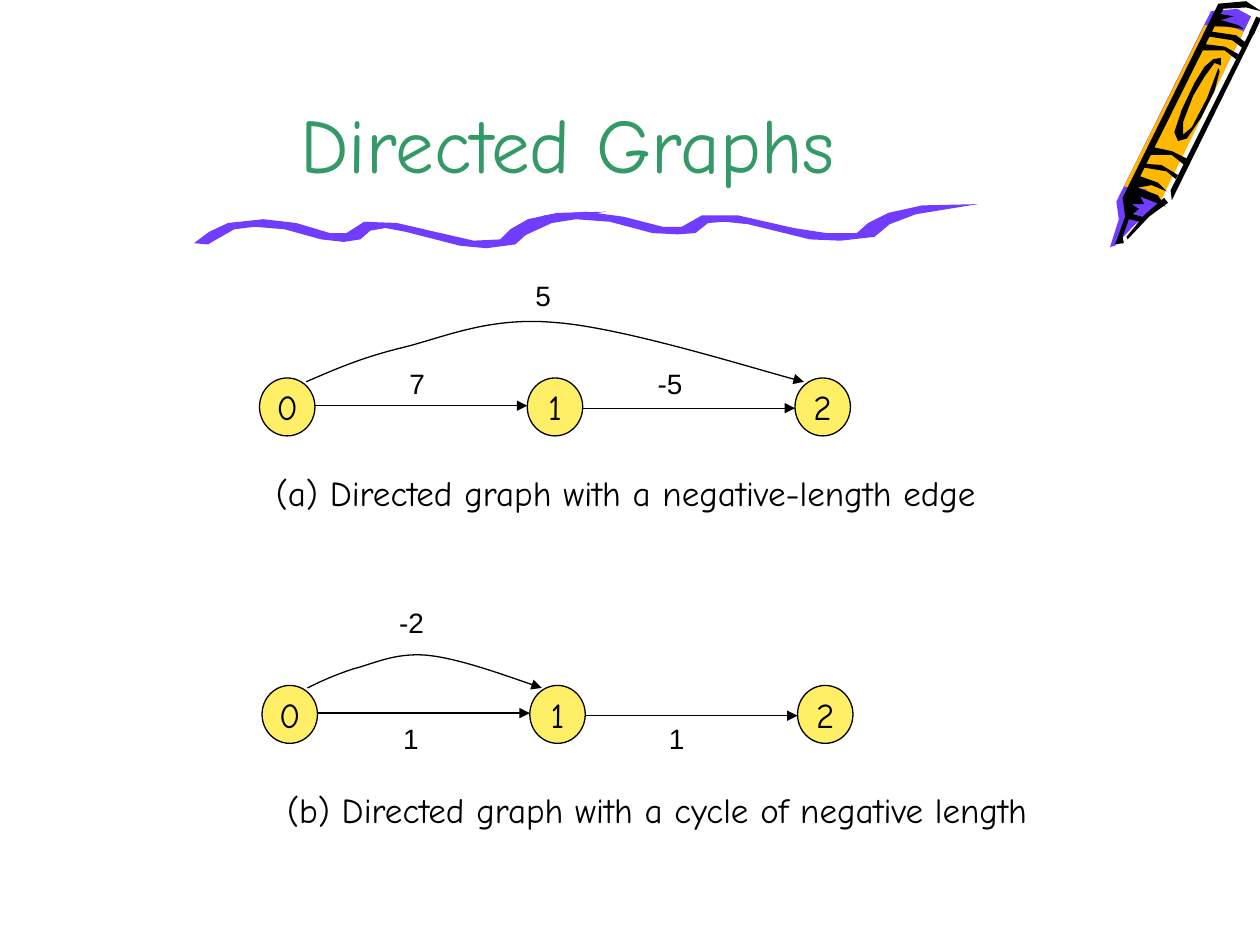
from dataclasses import dataclass

from lxml import etree
from pptx import Presentation
from pptx.dml.color import RGBColor
from pptx.enum.shapes import MSO_CONNECTOR, MSO_SHAPE
from pptx.enum.text import MSO_ANCHOR, PP_ALIGN
from pptx.oxml.ns import qn
from pptx.util import Emu, Inches, Pt

STRAIGHT, OVAL = MSO_CONNECTOR.STRAIGHT, MSO_SHAPE.OVAL
TOP, MIDDLE, BOTTOM = MSO_ANCHOR.TOP, MSO_ANCHOR.MIDDLE, MSO_ANCHOR.BOTTOM
LEFT, CENTER = PP_ALIGN.LEFT, PP_ALIGN.CENTER

SLIDE_W, SLIDE_H = Inches(10), Inches(7.5)
COLUMNS, ROWS = 10, 7.5
NODE_W, NODE_H, NODE_PITCH = 0.44, 0.46, 2.125
LABEL_W, LABEL_H = 0.42, 0.37

Point = tuple[float, float]


@dataclass(frozen=True)
class TextStyle:
    font: str
    size: float
    color: str


@dataclass(frozen=True)
class Theme:
    ink: str = "000000"
    violet: str = "703DFF"
    orange: str = "FFB800"
    node: str = "FFEF66"
    hairline: float = 0.75
    crayon_line: float = 3
    title: TextStyle = TextStyle("Comic Neue", 44, "339966")
    body: TextStyle = TextStyle("Comic Neue", 20, "000000")
    weight: TextStyle = TextStyle("Arial", 16, "000000")


THEME = Theme()


@dataclass(frozen=True)
class Outline:
    color: str
    points: list[Point]


@dataclass(frozen=True)
class Weight:
    text: str
    left: float
    top: float


@dataclass(frozen=True)
class Graph:
    left: float
    top: float
    arc: list[Point]
    weights: list[Weight]
    caption: str
    caption_box: tuple[float, float, float, float]


CRAYON = [
    Outline(THEME.violet, [
        (9.93, 0.13), (9.17, 1.66), (9.01, 1.78), (8.85, 1.95), (8.81, 1.96),
        (8.88, 1.74), (8.86, 1.6), (9.61, 0.09), (9.82, 0.07)]),
    Outline(THEME.orange, [
        (9.21, 1.6), (9.09, 1.5), (8.92, 1.48), (9.56, 0.2), (9.79, 0.22), (9.87, 0.25)]),
    Outline(THEME.ink, [
        (9.27, 1.61), (9.12, 1.72), (8.95, 1.9), (8.94, 1.88), (9.09, 1.7), (9.24, 1.57)]),
    Outline(THEME.ink, [
        (9.87, 0.23), (9.73, 0.21), (9.61, 0.21), (9.68, 0.11), (9.79, 0.13),
        (9.69, 0.16), (9.83, 0.2)]),
    Outline(THEME.ink, [
        (9.68, 0.57), (9.64, 0.72), (9.53, 0.94), (9.42, 1.1), (9.35, 1.12), (9.32, 1.05),
        (9.38, 0.87), (9.48, 0.66), (9.56, 0.53), (9.63, 0.47), (9.69, 0.46), (9.69, 0.52),
        (9.64, 0.5), (9.56, 0.61), (9.47, 0.76), (9.39, 0.97), (9.39, 1.07), (9.46, 1.01),
        (9.58, 0.78), (9.67, 0.54)]),
    Outline(THEME.ink, [(9.97, 0.23), (9.3, 1.59), (9.29, 1.51), (9.93, 0.23)]),
    Outline(THEME.ink, [
        (9.25, 1.64), (9.19, 1.55), (9.03, 1.49), (9.14, 1.47), (9.26, 1.52), (9.19, 1.45),
        (9.05, 1.4), (9.71, 0.07), (9.89, 0.06), (10.01, 0.09), (9.89, 0.01), (9.67, 0.03),
        (8.91, 1.57), (8.93, 1.72), (8.85, 1.94), (8.92, 1.93), (8.91, 1.88), (8.96, 1.74),
        (9.05, 1.76), (9.1, 1.73), (8.99, 1.7), (9.04, 1.66), (8.98, 1.62), (9.08, 1.62),
        (9.05, 1.56)]),
    Outline(THEME.ink, [
        (9.33, 1.42), (9.26, 1.36), (9.08, 1.33), (9.09, 1.3), (9.22, 1.31), (9.35, 1.39)]),
    Outline(THEME.ink, [
        (9.4, 1.31), (9.3, 1.23), (9.13, 1.23), (9.16, 1.17), (9.3, 1.2), (9.42, 1.26)]),
    Outline(THEME.ink, [
        (9.81, 0.47), (9.72, 0.4), (9.53, 0.4), (9.56, 0.35), (9.72, 0.37), (9.83, 0.43)]),
    Outline(THEME.ink, [
        (9.86, 0.38), (9.78, 0.32), (9.59, 0.29), (9.61, 0.25), (9.81, 0.28), (9.89, 0.34)]),
]

SQUIGGLE = [
    Outline(THEME.violet, [
        (1.65, 1.94), (1.86, 1.82), (2.02, 1.8), (2.26, 1.82), (2.55, 1.9), (2.73, 1.92),
        (2.86, 1.9), (2.94, 1.83), (3.06, 1.81), (3.22, 1.84), (3.65, 1.95), (3.86, 1.97),
        (4.09, 1.94), (4.2, 1.84), (4.38, 1.75), (4.81, 1.68), (4.42, 1.69), (4.19, 1.74),
        (4.05, 1.82), (3.97, 1.9), (3.76, 1.91), (3.54, 1.86), (3.15, 1.77), (2.89, 1.76),
        (2.75, 1.85), (2.62, 1.85), (2.35, 1.77), (2.09, 1.74), (1.81, 1.77), (1.66, 1.84),
        (1.54, 1.93)]),
    Outline(THEME.violet, [
        (4.14, 1.88), (4.38, 1.77), (4.57, 1.74), (4.84, 1.76), (5.18, 1.85), (5.38, 1.86),
        (5.52, 1.85), (5.62, 1.77), (5.75, 1.76), (5.94, 1.78), (6.43, 1.9), (6.67, 1.91),
        (6.94, 1.88), (7.06, 1.78), (7.27, 1.7), (7.76, 1.62), (7.32, 1.63), (7.05, 1.69),
        (6.89, 1.77), (6.8, 1.85), (6.56, 1.85), (6.3, 1.81), (5.86, 1.71), (5.57, 1.71),
        (5.41, 1.8), (5.26, 1.8), (4.95, 1.72), (4.65, 1.68), (4.32, 1.71), (4.15, 1.78),
        (4.01, 1.88)]),
]

GRAPHS = [
    Graph(2.06, 3.0,
          [(2.43, 3.03), (2.64, 2.94), (2.86, 2.84), (3.19, 2.76), (3.52, 2.68),
           (3.88, 2.51), (4.41, 2.56), (4.94, 2.6), (6.06, 2.95), (6.38, 3.03)],
          [Weight("5", 4.15, 2.16), Weight("7", 3.15, 2.86), Weight("-5", 5.12, 2.86)],
          "(a) Directed graph with a negative-length edge", (2.09, 3.69, 5.78, 0.44)),
    Graph(2.08, 5.44,
          [(2.44, 5.46), (2.54, 5.41), (2.65, 5.36), (2.8, 5.31), (2.96, 5.27),
           (3.13, 5.18), (3.38, 5.2), (3.63, 5.22), (4.15, 5.41), (4.3, 5.46)],
          [Weight("-2", 3.07, 4.76), Weight("1", 3.1, 5.68), Weight("1", 5.21, 5.68)],
          "(b) Directed graph with a cycle of negative length", (2.18, 6.21, 6.1, 0.44)),
]


def place(*grid: float) -> list[Emu]:
    """Turn alternating column and row positions into slide lengths."""
    units = (SLIDE_W / COLUMNS, SLIDE_H / ROWS)
    return [Emu(round(value * units[i % 2])) for i, value in enumerate(grid)]


def write(shape, text: str, style: TextStyle, align=LEFT, anchor=TOP, wrap=True) -> None:
    frame = shape.text_frame
    for name, value in {"word_wrap": wrap, "vertical_anchor": anchor}.items():
        setattr(frame, name, value)
    paragraph = frame.paragraphs[0]
    paragraph.alignment = align
    run = paragraph.add_run()
    run.text = text
    for name, value in {"name": style.font, "size": Pt(style.size)}.items():
        setattr(run.font, name, value)
    run.font.color.rgb = RGBColor.from_string(style.color)


def stroke(shape, width: float, arrow: bool = False) -> None:
    shape.line.color.rgb = RGBColor.from_string(THEME.ink)
    shape.line.width = Pt(width)
    if arrow:
        etree.SubElement(shape.line._get_or_add_ln(), qn("a:tailEnd"), type="triangle")


def draw_line(shapes, start: Point, end: Point, width: float, arrow: bool = False) -> None:
    line = shapes.add_connector(STRAIGHT, *place(*start, *end))
    stroke(line, width, arrow)
    etree.SubElement(line._element.spPr, qn("a:effectLst"))


def trace(shapes, points: list[Point], close: bool):
    first, *rest = [place(*point) for point in points]
    builder = shapes.build_freeform(*first)
    builder.add_line_segments(rest, close=close)
    shape = builder.convert_to_shape()
    shape.shadow.inherit = False
    return shape


def draw_outlines(shapes, outlines: list[Outline]) -> None:
    for outline in outlines:
        shape = trace(shapes, outline.points, close=True)
        shape.fill.solid()
        shape.fill.fore_color.rgb = RGBColor.from_string(outline.color)
        shape.line.fill.background()


def draw_arc(shapes, points: list[Point]) -> None:
    """Draw a Bézier arrow: a start, then two handles and an end per segment."""
    arc = trace(shapes, points, close=False)
    arc.fill.background()
    stroke(arc, THEME.hairline, arrow=True)
    segments = list(arc._element.iter(qn("a:lnTo")))
    for i in range(0, len(segments), 3):
        curve = etree.Element(qn("a:cubicBezTo"))
        segments[i].addprevious(curve)
        for segment in segments[i:i + 3]:
            curve.append(segment[0])
            segment.getparent().remove(segment)


def draw_graph(shapes, graph: Graph) -> None:
    lefts = [graph.left + i * NODE_PITCH for i in range(3)]
    for number, left in enumerate(lefts):
        node = shapes.add_shape(OVAL, *place(left, graph.top, NODE_W, NODE_H))
        node.shadow.inherit = False
        node.fill.solid()
        node.fill.fore_color.rgb = RGBColor.from_string(THEME.node)
        stroke(node, THEME.hairline)
        write(node, str(number), THEME.body, CENTER, MIDDLE, wrap=False)
    for source, target, drop in zip(lefts, lefts[1:], (0.22, 0.24)):
        y = graph.top + drop
        draw_line(shapes, (source + NODE_W, y), (target, y), THEME.hairline, arrow=True)
    draw_arc(shapes, graph.arc)
    for weight in graph.weights:
        label = shapes.add_textbox(*place(weight.left, weight.top, LABEL_W, LABEL_H))
        write(label, weight.text, THEME.weight)
    caption = shapes.add_textbox(*place(*graph.caption_box))
    write(caption, graph.caption, THEME.body, wrap=False)


def main() -> None:
    deck = Presentation()
    deck.slide_width, deck.slide_height = SLIDE_W, SLIDE_H
    shapes = deck.slides.add_slide(deck.slide_layouts[6]).shapes
    crayon = shapes.add_group_shape().shapes
    draw_outlines(crayon, CRAYON)
    draw_line(crayon, (9.99, 0.14), (9.93, 0.27), THEME.crayon_line)
    draw_outlines(shapes.add_group_shape().shapes, SQUIGGLE)
    title = shapes.add_textbox(*place(0.75, 0, 7.51, 1.55))
    write(title, "Directed Graphs", THEME.title, CENTER, BOTTOM)
    for graph in GRAPHS:
        draw_graph(shapes, graph)
    deck.save("out.pptx")


if __name__ == "__main__":
    main()
